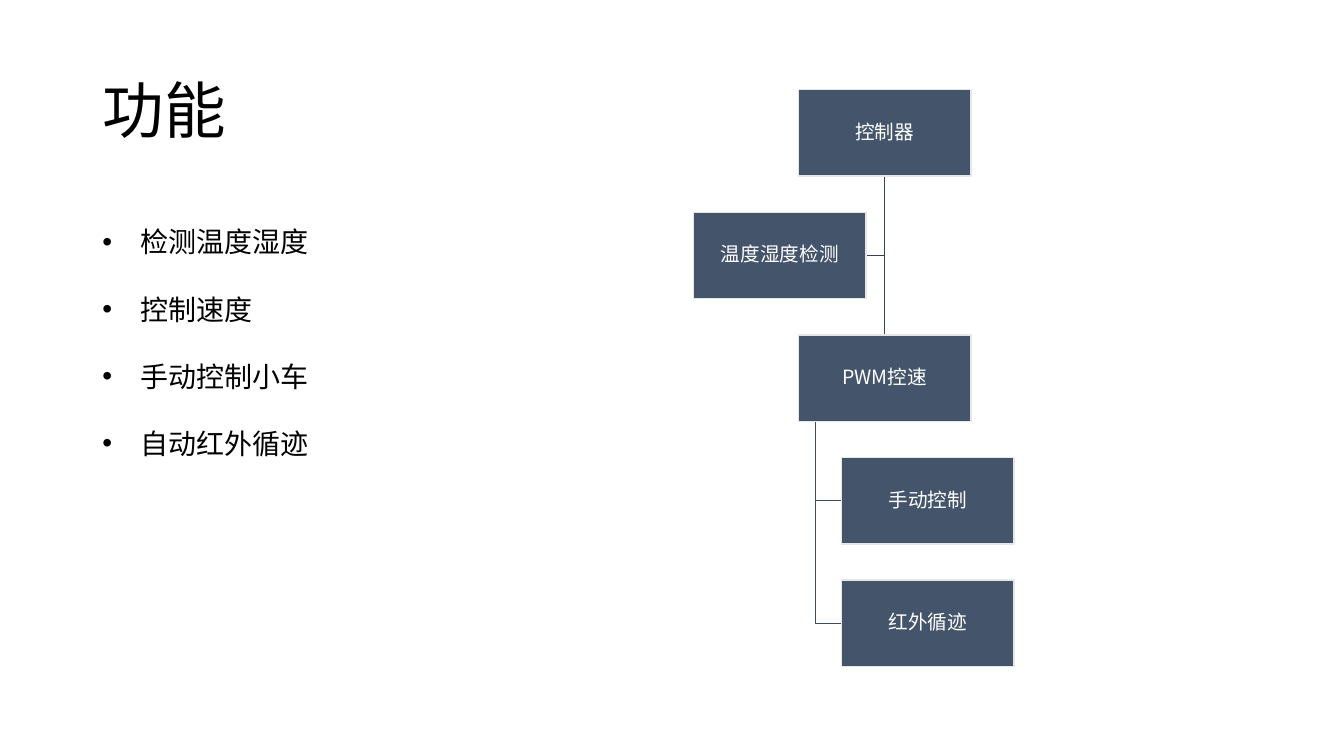
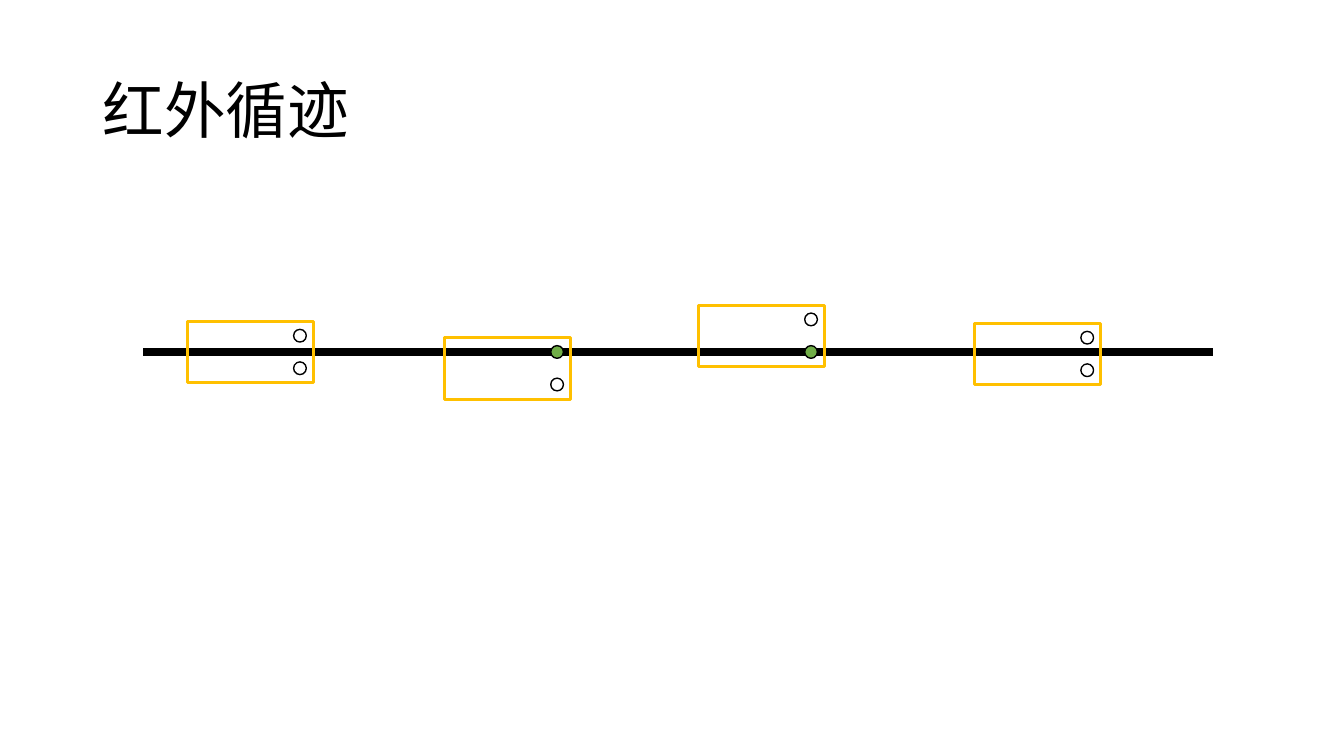
from dataclasses import dataclass

import pptx
import pptx.util
import pptx.dml.color
import pptx.enum.shapes
import pptx.enum.text
import pptx.oxml
import pptx.oxml.ns

Cm = pptx.util.Cm
Pt = pptx.util.Pt
RGBColor = pptx.dml.color.RGBColor
SHAPE = pptx.enum.shapes.MSO_SHAPE
ALIGN = pptx.enum.text.PP_ALIGN
ANCHOR = pptx.enum.text.MSO_ANCHOR
AUTO_SIZE = pptx.enum.text.MSO_AUTO_SIZE
qn = pptx.oxml.ns.qn

FONT = "Noto Sans CJK SC"
BLACK = RGBColor(0x00, 0x00, 0x00)
WHITE = RGBColor(0xFF, 0xFF, 0xFF)
SLATE = RGBColor(0x44, 0x54, 0x6A)
LIGHT_GRAY = RGBColor(0xE7, 0xE6, 0xE6)
LINK_UPPER = RGBColor(0x36, 0x43, 0x55)
LINK_LOWER = RGBColor(0x3E, 0x4C, 0x60)
AMBER = RGBColor(0xFF, 0xC0, 0x00)
GREEN = RGBColor(0x70, 0xAD, 0x47)

BOX_W, BOX_H = 4.35, 2.18
BOX_TOP, BOX_PITCH = 2.26, 3.09
CAR_W, CAR_H = 3.18, 1.55
SENSOR_X, SENSOR_YS, SENSOR_D = 2.68, (0.2, 1.02), 0.32


@dataclass
class Box:
    text: str
    left: float
    row: int

    @property
    def top(self) -> float:
        return BOX_TOP + self.row * BOX_PITCH

    @property
    def bottom(self) -> float:
        return self.top + BOX_H

    @property
    def middle(self) -> float:
        return self.top + BOX_H / 2


@dataclass
class Car:
    left: float
    top: float
    sensors: tuple[RGBColor, RGBColor]


CONTROLLER = Box("控制器", 20.12, 0)
DETECTION = Box("温度湿度检测", 17.48, 1)
SPEED = Box("PWM控速", 20.12, 2)
MANUAL = Box("手动控制", 21.21, 3)
TRACKING = Box("红外循迹", 21.21, 4)
BOXES = (CONTROLLER, SPEED, MANUAL, TRACKING, DETECTION)

FEATURES = ("检测温度湿度", "控制速度", "手动控制小车", "自动红外循迹")

CARS = (
    Car(4.72, 8.1, (WHITE, WHITE)),
    Car(11.2, 8.51, (GREEN, WHITE)),
    Car(17.6, 7.69, (WHITE, GREEN)),
    Car(24.56, 8.15, (WHITE, WHITE)),
)


def format_text(p, size: float, color: RGBColor) -> None:
    for r in p.runs:
        r.font.size = Pt(size)
        r.font.color.rgb = color
        r.font.name = FONT
        latin = r._r.rPr.find(qn("a:latin"))
        ea = pptx.oxml.parse_xml(
            '<a:ea xmlns:a="http://schemas.openxmlformats.org/drawingml/2006/main"/>')
        ea.set("typeface", FONT)
        latin.addnext(ea)


def set_line(shape, color: RGBColor, width: float) -> None:
    shape.line.color.rgb = color
    shape.line.width = Pt(width)


def add_titled_slide(prs, title: str):
    s = prs.slides.add_slide(prs.slide_layouts[5])
    sp = s.shapes.title
    sp.left, sp.top, sp.width, sp.height = Cm(2.33), Cm(1.02), Cm(29.21), Cm(3.68)
    tf = sp.text_frame
    tf.text = title
    tf.auto_size = AUTO_SIZE.NONE
    tf.vertical_anchor = ANCHOR.MIDDLE
    p = tf.paragraphs[0]
    p.alignment = ALIGN.LEFT
    p.line_spacing = 0.9
    format_text(p, 44, BLACK)
    return s


def add_preset(shapes, kind, left: float, top: float, width: float, height: float,
               fill: RGBColor | None, line: RGBColor, line_width: float):
    sp = shapes.add_shape(kind, Cm(left), Cm(top), Cm(width), Cm(height))
    sp.shadow.inherit = False
    if fill is None:
        sp.fill.background()
    else:
        sp.fill.solid()
        sp.fill.fore_color.rgb = fill
    set_line(sp, line, line_width)
    return sp


def add_straight(s, x1: float, y1: float, x2: float, y2: float,
                 color: RGBColor, width: float):
    c = s.shapes.add_connector(pptx.enum.shapes.MSO_CONNECTOR.STRAIGHT,
                               Cm(x1), Cm(y1), Cm(x2), Cm(y2))
    set_line(c, color, width)
    c._element.spPr.append(pptx.oxml.parse_xml(
        '<a:effectLst xmlns:a="http://schemas.openxmlformats.org/drawingml/2006/main"/>'))
    return c


def add_bend(s, x: float, y: float, end_x: float, end_y: float, color: RGBColor) -> None:
    builder = s.shapes.build_freeform(Cm(x), Cm(y))
    builder.add_line_segments([(Cm(x), Cm(end_y)), (Cm(end_x), Cm(end_y))], close=False)
    sp = builder.convert_to_shape()
    sp.shadow.inherit = False
    sp.fill.background()
    set_line(sp, color, 1)


def add_box(s, box: Box):
    sp = add_preset(s.shapes, SHAPE.RECTANGLE, box.left, box.top, BOX_W, BOX_H,
                    SLATE, LIGHT_GRAY, 1)
    tf = sp.text_frame
    tf.margin_left = tf.margin_right = tf.margin_top = tf.margin_bottom = Cm(0.03)
    tf.word_wrap = True
    tf.vertical_anchor = ANCHOR.MIDDLE
    tf.text = box.text
    p = tf.paragraphs[0]
    p.alignment = ALIGN.CENTER
    p.line_spacing = 0.9
    format_text(p, 14, WHITE)
    return sp


def add_features(s) -> None:
    tf = s.shapes.add_textbox(Cm(2.33), Cm(5.54), Cm(5.74), Cm(6.25)).text_frame
    tf.word_wrap = False
    tf.auto_size = AUTO_SIZE.SHAPE_TO_FIT_TEXT
    tf.text = "\n".join(FEATURES)
    for i, p in enumerate(tf.paragraphs):
        p.line_spacing = Pt(24)
        p.space_before = Pt(24 if i else 0)
        pPr = p._p.get_or_add_pPr()
        pPr.set("marL", str(Cm(0.95)))
        pPr.set("indent", str(-Cm(0.95)))
        pPr.append(pptx.oxml.parse_xml(
            '<a:buFont xmlns:a="http://schemas.openxmlformats.org/drawingml/2006/main"'
            ' typeface="Arial"/>'))
        pPr.append(pptx.oxml.parse_xml(
            '<a:buChar xmlns:a="http://schemas.openxmlformats.org/drawingml/2006/main"'
            ' char="•"/>'))
        format_text(p, 20, BLACK)


def add_hierarchy(s) -> None:
    trunk_x = CONTROLLER.left + BOX_W / 2
    branch_x = SPEED.left + BOX_W / 10
    add_bend(s, trunk_x, CONTROLLER.bottom, DETECTION.left + BOX_W, DETECTION.middle,
             LINK_UPPER)
    for box in (TRACKING, MANUAL):
        add_bend(s, branch_x, SPEED.bottom, box.left, box.middle, LINK_LOWER)
    trunk = add_straight(s, trunk_x, CONTROLLER.bottom, trunk_x, SPEED.top, LINK_UPPER, 1)
    shapes = {box.text: add_box(s, box) for box in BOXES}
    trunk.begin_connect(shapes[CONTROLLER.text], 2)
    trunk.end_connect(shapes[SPEED.text], 0)


def add_car(s, car: Car) -> None:
    shapes = s.shapes.add_group_shape().shapes
    add_preset(shapes, SHAPE.RECTANGLE, car.left, car.top, CAR_W, CAR_H, None, AMBER, 2.25)
    for dy, fill in zip(SENSOR_YS, car.sensors):
        add_preset(shapes, SHAPE.OVAL, car.left + SENSOR_X, car.top + dy,
                   SENSOR_D, SENSOR_D, fill, BLACK, 1)


def main() -> None:
    prs = pptx.Presentation()
    prs.slide_width, prs.slide_height = Cm(33.87), Cm(19.05)

    s = add_titled_slide(prs, "功能")
    add_hierarchy(s)
    add_features(s)

    s = add_titled_slide(prs, "红外循迹")
    add_straight(s, 3.61, 8.87, 30.56, 8.87, BLACK, 6)
    for car in CARS:
        add_car(s, car)

    prs.save("out.pptx")


if __name__ == "__main__":
    main()
